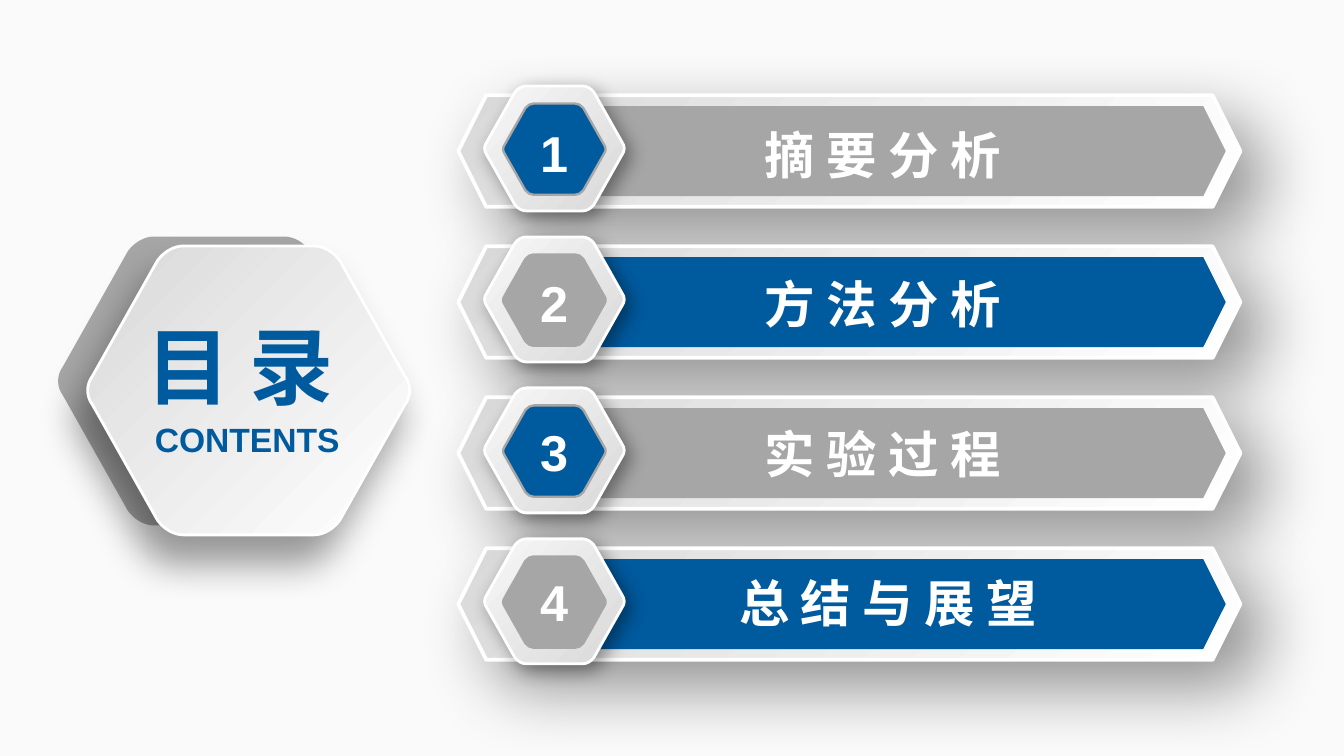
from dataclasses import dataclass

from lxml.etree import SubElement
from pptx import Presentation
from pptx.dml.color import RGBColor
from pptx.enum.shapes import MSO_SHAPE as Shape
from pptx.enum.text import MSO_ANCHOR as Anchor, MSO_AUTO_SIZE as AutoSize, PP_ALIGN as Align
from pptx.oxml.ns import qn
from pptx.util import Inches, Pt


@dataclass(frozen=True)
class Theme:
    font: str = "Arial"
    blue: str = "005A9E"
    gray: str = "A6A6A6"
    silver: str = "D9D9D9"
    pale: str = "F7F7F7"
    white: str = "FFFFFF"
    back: tuple = ("FAFAFA", "FCFCFC")
    title: int = 45
    item: int = 27
    subtitle: int = 18


T = Theme()
SLIDE_W = 10
SLIDE_H = SLIDE_W * 9 / 16
ROW_PITCH = 3.37 / 3   # first to last bar, in three steps
TEXT_PITCH = 3.34 / 3
INSETS = (0.07, 0.04)

# (label, left, width)
ITEMS = [
    ("摘 要 分 析", 5.62, 3.66),
    ("方 法 分 析", 5.62, 3.43),
    ("实 验 过 程", 5.62, 3.66),
    ("总 结 与 展 望", 5.43, 3.76),
]


def rgb(value):
    return RGBColor.from_string(value)


def paint(fill, color, angle=0):
    """Fill with one colour, or with a pair of colours along a clockwise angle."""
    if isinstance(color, str):
        fill.solid()
        fill.fore_color.rgb = rgb(color)
        return
    fill.gradient()
    fill.gradient_angle = (360 - angle) % 360
    for stop, value, position in zip(fill.gradient_stops, color, (0, 1)):
        stop.color.rgb = rgb(value)
        stop.position = position


def style(sp, color, angle=0, line=None, width=0, shadow=None):
    """Set fill, outline and shadow; shadow is (opacity %, blur pt, distance pt, degrees)."""
    sp.shadow.inherit = False
    paint(sp.fill, color, angle)
    if line:
        sp.line.color.rgb = rgb(line)
        sp.line.width = Pt(width)
    else:
        sp.line.fill.background()
    if shadow:
        opacity, blur, distance, degrees = shadow
        effects = sp.element.spPr.find(qn("a:effectLst"))
        outer = SubElement(effects, qn("a:outerShdw"), blurRad=str(Pt(blur)),
                           dist=str(Pt(distance)), dir=str(degrees * 60000),
                           algn="tl", rotWithShape="0")
        tint = SubElement(outer, qn("a:srgbClr"), val="000000")
        SubElement(tint, qn("a:alpha"), val=str(opacity * 1000))


def bar(shapes, x, y, w, h, color, **look):
    sp = shapes.add_shape(Shape.HEXAGON, Inches(x), Inches(y), Inches(w), Inches(h))
    sp.adjustments[0] = 0.25
    style(sp, color, **look)


def rounded_hexagon(shapes, x, y, w, h, color, **look):
    # Each corner is a start point, two control points and an end point
    bottom = [(0.3, 1), (0.27, 1), (0.24, 0.98), (0.22, 0.95)]
    side = [(0.02, 0.55), (0, 0.52), (0, 0.48), (0.02, 0.45)]
    top = [(px, 1 - py) for px, py in reversed(bottom)]
    left_half = bottom + side + top
    points = left_half + [(1 - px, 1 - py) for px, py in left_half]
    points = [(Inches(x + px * w), Inches(y + py * h)) for px, py in points]
    builder = shapes.build_freeform(*points[0])
    builder.add_line_segments(points[1:], close=True)
    sp = builder.convert_to_shape()

    # Turn the three segments of every corner into one curve
    segments = list(sp.element.iter(qn("a:lnTo")))
    for i in range(0, 24, 4):
        corner = segments[i:i + 3]
        curve = corner[0].makeelement(qn("a:cubicBezTo"))
        corner[0].addprevious(curve)
        for segment in corner:
            curve.append(segment[0])
            segment.getparent().remove(segment)
    style(sp, color, **look)


def write(sp, text, size, color, insets=INSETS, align=Align.LEFT,
          anchor=Anchor.TOP, wrap=True, grow=True):
    tf = sp.text_frame
    tf.text = text
    tf.word_wrap = wrap
    tf.auto_size = AutoSize.SHAPE_TO_FIT_TEXT if grow else AutoSize.NONE
    tf.vertical_anchor = anchor
    tf.margin_left = tf.margin_right = Inches(insets[0])
    tf.margin_top = tf.margin_bottom = Inches(insets[1])
    p = tf.paragraphs[0]
    p.alignment = align
    font = p.runs[0].font
    font.name, font.size, font.bold = T.font, Pt(size), True
    font.color.rgb = rgb(color)


def label(s, x, y, w, h, text, size, color, **layout):
    sp = s.shapes.add_textbox(Inches(x), Inches(y), Inches(w), Inches(h))
    write(sp, text, size, color, **layout)


def heading(s):
    rounded_hexagon(s.shapes, 0.42, 1.76, 2.42, 2.15, T.gray)
    rounded_hexagon(s.shapes, 0.64, 1.83, 2.42, 2.15, (T.silver, T.white), angle=45,
                    line=T.white, width=1.5, shadow=(40, 21, 16, 113))
    title = s.shapes.title
    title.left, title.top = Inches(0.99), Inches(2.29)
    title.width, title.height = Inches(1.79), Inches(0.86)
    write(title, "目 录", T.title, T.blue, insets=(0.1, 0.05))
    s.shapes.element.append(title.element)  # in front of the hexagons
    label(s, 1.03, 3.06, 1.62, 0.42, "CONTENTS", T.subtitle, T.blue,
          align=Align.CENTER, anchor=Anchor.MIDDLE, grow=False)


def item_bar(s, row, color):
    y = 0.71 + row * ROW_PITCH
    bar(s.shapes, 3.41, y, 5.82, 0.83, (T.white, T.silver), angle=225,
        line=T.white, width=2, shadow=(42, 38, 19, 45))
    bar(s.shapes, 4.13, y + 0.08, 4.99, 0.67, color)


def badge(s, row, color):
    y = 0.64 + row * ROW_PITCH
    shapes = s.shapes.add_group_shape().shapes
    rounded_hexagon(shapes, 3.6, y, 1.05, 0.93, (T.pale, T.silver), angle=45,
                    line=T.white, width=1.5, shadow=(40, 10, 4, 45))
    rounded_hexagon(shapes, 3.74, y + 0.13, 0.77, 0.68, color, line=T.gray, width=1.25)


def main():
    prs = Presentation()
    prs.slide_width, prs.slide_height = Inches(SLIDE_W), Inches(SLIDE_H)
    s = prs.slides.add_slide(prs.slide_layouts[5])
    paint(s.background.fill, T.back, 90)

    # Bars and badges swap their two colours from row to row
    colors = [T.gray, T.blue]
    for row in range(len(ITEMS)):
        item_bar(s, row, colors[row % 2])
    heading(s)
    for row, (text, x, w) in enumerate(ITEMS):
        y = 0.88 + row * TEXT_PITCH
        label(s, x, y, w, 0.53, text, T.item, T.white)
        badge(s, row, colors[(row + 1) % 2])
        label(s, 3.95, y - 0.01, 0.36, 0.53, str(row + 1), T.item, T.white, wrap=False)

    prs.save("out.pptx")


if __name__ == "__main__":
    main()
